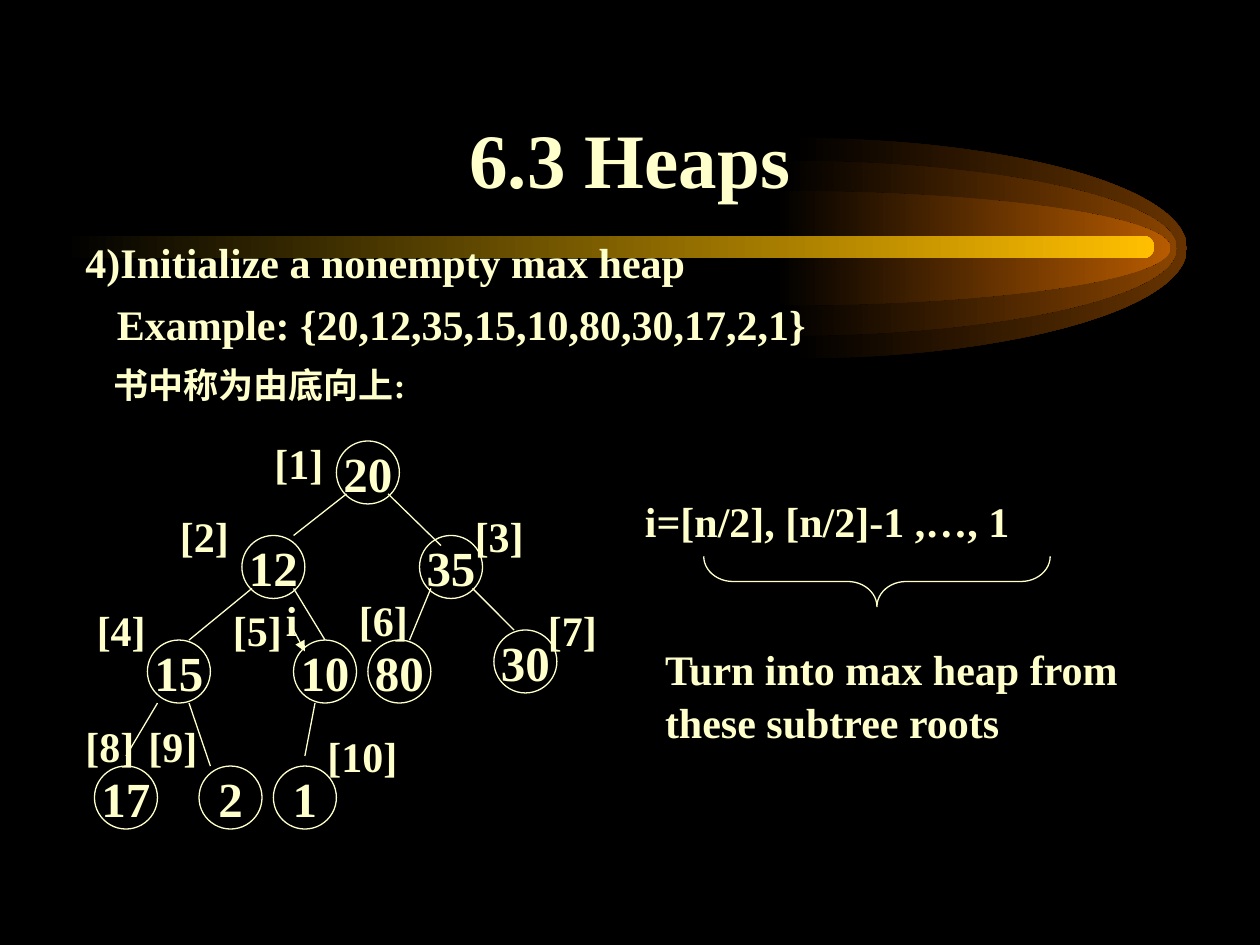
import pptx
import pptx.util
import pptx.dml.color
import pptx.enum.shapes
import pptx.enum.text
import pptx.oxml
import pptx.oxml.ns
import lxml.etree

Inches = pptx.util.Inches
Pt = pptx.util.Pt
Shape = pptx.enum.shapes.MSO_SHAPE
Anchor = pptx.enum.text.MSO_ANCHOR
Align = pptx.enum.text.PP_ALIGN
qn = pptx.oxml.ns.qn
COLORS = {"back": "000000", "ink": "FFFFCC", "bar": "FFBF00",
          "outer": "663300", "middle": "894400", "inner": "B75B00"}


def color(name):
    return pptx.dml.color.RGBColor.from_string(COLORS[name])


class Deck:
    face = "Times New Roman"
    weight = Pt(0.75)

    def __init__(self):
        self.file = pptx.Presentation()
        self.file.slide_width = Inches(10)
        self.file.slide_height = Inches(7.5)
        self.slide = self.file.slides.add_slide(self.file.slide_layouts[5])
        self.shapes = self.slide.shapes
        fill = self.slide.background.fill
        fill.solid()
        fill.fore_color.rgb = color("back")

    def style(self, para, size):
        font = para.font
        font.name, font.size, font.bold = self.face, Pt(size), True
        font.color.rgb = color("ink")

    def title(self, text):
        title = self.shapes.title
        title.element.getparent().append(title.element)
        title.left, title.top = Inches(0.75), Inches(0.42)
        title.width, title.height = Inches(8.5), Inches(1.25)
        title.text_frame.text = text
        title.text_frame.vertical_anchor = Anchor.BOTTOM
        para = title.text_frame.paragraphs[0]
        para.alignment = Align.CENTER
        self.style(para, 44)

    def fade(self, shape, name):
        shape.shadow.inherit = False
        shape.line.fill.background()
        shape.fill.gradient()
        shape.fill.gradient_angle = 0
        for stop, tone in zip(shape.fill.gradient_stops, ("back", name)):
            stop.color.rgb = color(tone)

    def glow(self, left, high, name):
        curve = [(0, -1), (0.55, -1), (1, -0.55), (1, 0),
                 (1, 0.55), (0.55, 1), (0, 1)]
        points = [(Inches(left + 3.13 * x), Inches(1.97 + high / 2 * y))
                  for x, y in curve]
        build = self.shapes.build_freeform(*points[0])
        build.add_line_segments(points[1:], close=True)
        shape = build.convert_to_shape()
        legs = list(shape.element.iter(qn("a:lnTo")))[:6]
        for first in (0, 3):
            bend = lxml.etree.Element(qn("a:cubicBezTo"))
            legs[first].addprevious(bend)
            for leg in legs[first:first + 3]:
                bend.append(leg[0])
                leg.getparent().remove(leg)
        self.fade(shape, name)

    def bar(self, left, top, width, height):
        shape = self.shapes.add_shape(Shape.ROUNDED_RECTANGLE, Inches(left),
                                      Inches(top), Inches(width), Inches(height))
        shape.adjustments[0] = 0.5
        self.fade(shape, "bar")

    def text(self, left, top, width, height, text, size=24):
        box = self.shapes.add_textbox(Inches(left), Inches(top),
                                      Inches(width), Inches(height))
        box.text_frame.word_wrap = True
        para = box.text_frame.paragraphs[0]
        para.text = text
        self.style(para, size)
        return box.text_frame

    def body(self, lines):
        frame = self.text(0.5, 1.83, 9.08, 5.42, lines[0][0])
        for text, size, space, inset in lines[1:]:
            para = frame.add_paragraph()
            para.text = text
            para.space_before = Pt(space)
            self.style(para, size)
        for para, line in zip(frame.paragraphs, lines):
            para._p.get_or_add_pPr().set("marL", str(Inches(line[3])))

    def outline(self, kind, left, top, width, height):
        shape = self.shapes.add_shape(kind, Inches(left), Inches(top),
                                      Inches(width), Inches(height))
        shape.shadow.inherit = False
        shape.fill.background()
        shape.line.color.rgb = color("ink")
        shape.line.width = self.weight
        return shape

    def node(self, left, top, text):
        frame = self.outline(Shape.OVAL, left, top, 0.5, 0.5).text_frame
        frame.word_wrap = False
        frame.vertical_anchor = Anchor.MIDDLE
        para = frame.paragraphs[0]
        para.text = text
        para.alignment = Align.CENTER
        self.style(para, 28)

    def brace(self, left, top, width, height):
        shape = self.outline(Shape.LEFT_BRACE, left, top, width, height)
        shape.rotation = 270
        shape.adjustments[0] = 0.58

    def edge(self, x1, y1, x2, y2, arrow=False):
        line = self.shapes.add_connector(
            pptx.enum.shapes.MSO_CONNECTOR.STRAIGHT,
            Inches(x1), Inches(y1), Inches(x2), Inches(y2))
        line.line.color.rgb = color("ink")
        line.line.width = self.weight
        props = line.element.spPr
        if arrow:
            tail = pptx.oxml.parse_xml(
                f'<a:tailEnd {pptx.oxml.ns.nsdecls("a")} type="triangle"/>')
            props.find(qn("a:ln")).append(tail)
        props.append(pptx.oxml.parse_xml(
            f'<a:effectLst {pptx.oxml.ns.nsdecls("a")}/>'))


NODES = [(2.67, 3.5, "20"), (1.92, 4.25, "12"), (3.33, 4.25, "35"),
         (1.17, 5.08, "15"), (2.33, 5.08, "10"), (2.92, 5.08, "80"),
         (3.92, 5, "30"), (0.75, 6.08, "17"), (1.58, 6.08, "2"),
         (2.17, 6.08, "1")]
EDGES = [(2.75, 3.92, 2.33, 4.25), (2, 4.67, 1.5, 5.08),
         (1.25, 5.58, 1, 6), (1.5, 5.58, 1.67, 6.08),
         (2.5, 5.58, 2.42, 6), (2.33, 4.67, 2.58, 5.08),
         (3.08, 3.92, 3.5, 4.33), (3.42, 4.67, 3.25, 5.08),
         (3.75, 4.67, 4.08, 5)]
MARKS = [(2.08, 3.42, 0.75), (1.33, 4, 0.83), (3.67, 4, 0.67),
         (0.67, 4.75, 0.83), (1.75, 4.75, 0.83), (2.75, 4.67, 0.67),
         (4.25, 4.75, 0.67), (0.58, 5.67, 0.67), (1.08, 5.67, 1.08),
         (2.5, 5.75, 0.83)]


def main():
    deck = Deck()
    for left, high, name in ((6.29, 1.75, "outer"), (6.21, 1.39, "middle"),
                             (6.16, 0.91, "inner")):
        deck.glow(left, high, name)
    deck.bar(0.5, 1.87, 8.66, 0.18)
    deck.title("6.3 Heaps")
    deck.body([("4)Initialize a nonempty max heap", 24, 0, 0.08),
               ("Example: {20,12,35,15,10,80,30,17,2,1}", 24, 6.5, 0.33),
               ("书中称为由底向上:", 20, 8.5, 0.3)])
    for node in NODES:
        deck.node(*node)
    for edge in EDGES:
        deck.edge(*edge)
    for index, (left, top, width) in enumerate(MARKS, 1):
        deck.text(left, top, width, 0.5, f"[{index}]")
    deck.text(2.17, 4.67, 0.25, 0.5, "i")
    deck.edge(2.33, 5, 2.42, 5.17, arrow=True)
    deck.text(5.02, 3.88, 3.57, 0.52, "i=[n/2], [n/2]-1 ,…, 1")
    deck.brace(6.76, 3.24, 0.4, 2.75)
    note = deck.text(5.18, 5.04, 4.23, 0.92,
                     "Turn into max heap from these subtree roots")
    note.paragraphs[0].line_spacing = 1.05
    deck.file.save("out.pptx")


if __name__ == "__main__":
    main()
